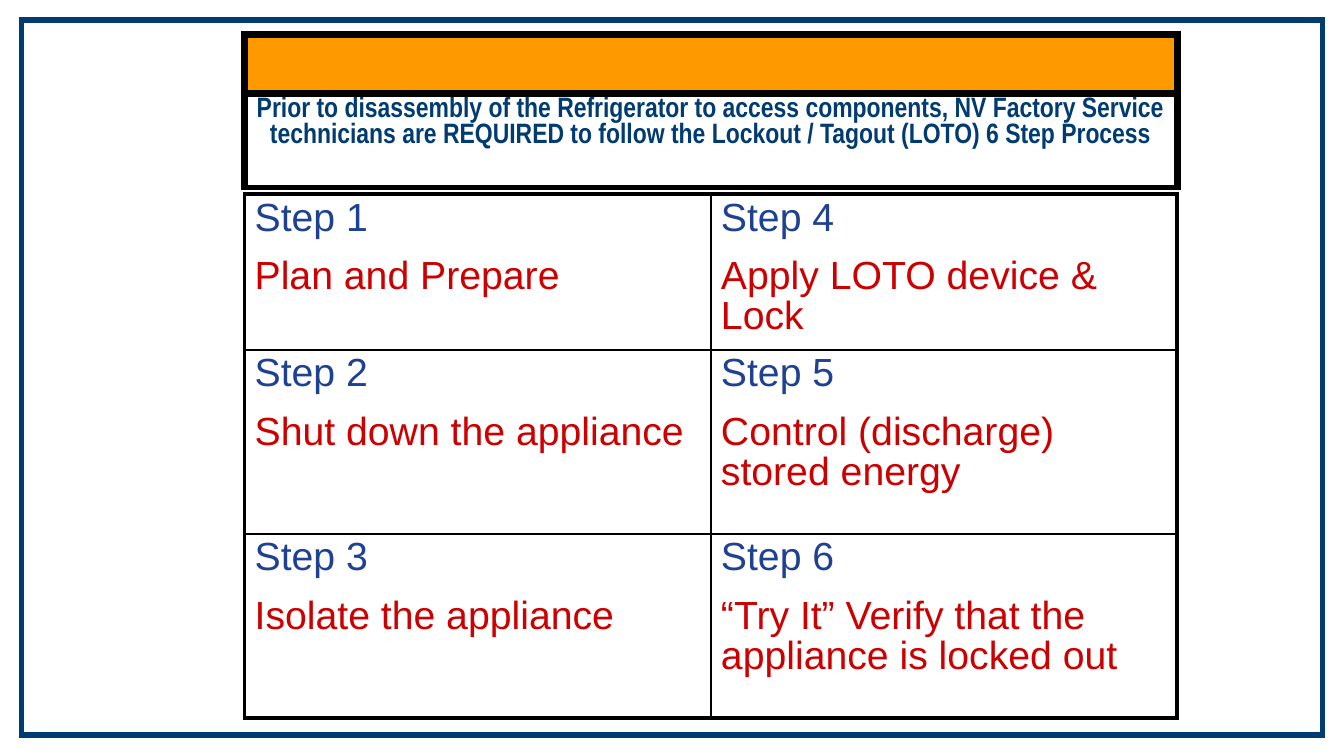
from lxml import etree
from pptx import Presentation
from pptx.dml.color import RGBColor
from pptx.enum.shapes import MSO_SHAPE
from pptx.enum.text import PP_ALIGN
from pptx.oxml.ns import qn
from pptx.util import Pt

PX = 4572
RECTANGLE = MSO_SHAPE.RECTANGLE
CENTER = PP_ALIGN.CENTER
COLORS = {
    "navy": "003B71",
    "blue": "1E4191",
    "red": "CC0000",
    "orange": "FF9900",
    "black": "000000",
    "white": "FFFFFF",
}
NOTICE = (
    "Prior to disassembly of the Refrigerator to access components, "
    "NV Factory Service technicians are REQUIRED to follow the "
    "Lockout / Tagout (LOTO) 6 Step Process"
)
STEPS = [
    "Plan and Prepare",
    "Shut down the appliance",
    "Isolate the appliance",
    "Apply LOTO device & Lock",
    "Control (discharge) stored energy",
    "“Try It” Verify that the appliance is locked out",
]


def color(name):
    return RGBColor.from_string(COLORS[name])


def add_run(paragraph, text, font_name, size, color_name, bold=False):
    run = paragraph.add_run()
    run.text = text
    run.font.name = font_name
    run.font.size = Pt(size)
    run.font.bold = bold
    run.font.color.rgb = color(color_name)


def set_borders(cell, left, right, top, bottom):
    properties = cell._tc.get_or_add_tcPr()
    widths = {"lnL": left, "lnR": right, "lnT": top, "lnB": bottom}
    for index, (tag, width) in enumerate(widths.items()):
        line = etree.Element(qn("a:" + tag), w=str(Pt(width)))
        fill = etree.SubElement(line, qn("a:solidFill"))
        etree.SubElement(fill, qn("a:srgbClr"), val=COLORS["black"])
        properties.insert(index, line)


def set_cell(cell, fill_name, side, top, borders):
    cell.fill.solid()
    cell.fill.fore_color.rgb = color(fill_name)
    cell.margin_left = cell.margin_right = side * PX
    cell.margin_top = cell.margin_bottom = top * PX
    set_borders(cell, *borders)


def add_grid(slide, box, column_count, row_heights):
    left, top, width = box
    shape = slide.shapes.add_table(
        len(row_heights), column_count, left * PX, top * PX,
        width * PX, sum(row_heights) * PX,
    )
    table = shape.table
    table.first_row = table.horz_banding = False
    for column in table.columns:
        column.width = width * PX // column_count
    for row, height in zip(table.rows, row_heights):
        row.height = height * PX
    return table


def add_frame(slide, box):
    frame = slide.shapes.add_shape(RECTANGLE, *(length * PX for length in box))
    frame.shadow.inherit = False
    frame.fill.background()
    frame.line.color.rgb = color("navy")
    frame.line.width = Pt(3)
    outline = frame._element.spPr.find(qn("a:ln"))
    etree.SubElement(outline, qn("a:miter"), lim="800000")


def add_steps(slide, box, row_heights):
    row_count = len(row_heights)
    table = add_grid(slide, box, 2, row_heights)
    for index, action in enumerate(STEPS):
        column, row = divmod(index, row_count)
        cell = table.cell(row, column)
        borders = [
            2.25 if on_edge else 1
            for on_edge in (column == 0, column == 1, row == 0, row == row_count - 1)
        ]
        set_cell(cell, "white", 15, 8, borders)
        heading = cell.text_frame.paragraphs[0]
        add_run(heading, f"Step {index + 1}", "Arial", 21, "blue")
        body = cell.text_frame.add_paragraph()
        body.space_before = Pt(10.5)
        add_run(body, action, "Arial", 21, "red")
        for paragraph in (heading, body):
            paragraph.line_spacing = 0.9


def add_notice(slide, box, row_heights):
    table = add_grid(slide, box, 1, row_heights)
    set_cell(table.cell(0, 0), "orange", 12, 8, [4.5] * 4)
    cell = table.cell(1, 0)
    set_cell(cell, "white", 12, 5, [4.5, 4.5, 4.5, 3])
    paragraph = cell.text_frame.paragraphs[0]
    paragraph.alignment = CENTER
    add_run(paragraph, NOTICE, "Arial Narrow", 15, "navy", bold=True)


def main():
    presentation = Presentation()
    presentation.slide_width = 2000 * PX
    presentation.slide_height = 1125 * PX
    slide = presentation.slides.add_slide(presentation.slide_layouts[6])
    add_frame(slide, (32, 30, 1936, 1064))
    add_steps(slide, (364, 289, 1388), [232, 274, 274])
    add_notice(slide, (364, 51, 1388), [88, 140])
    presentation.save("out.pptx")


if __name__ == "__main__":
    main()
